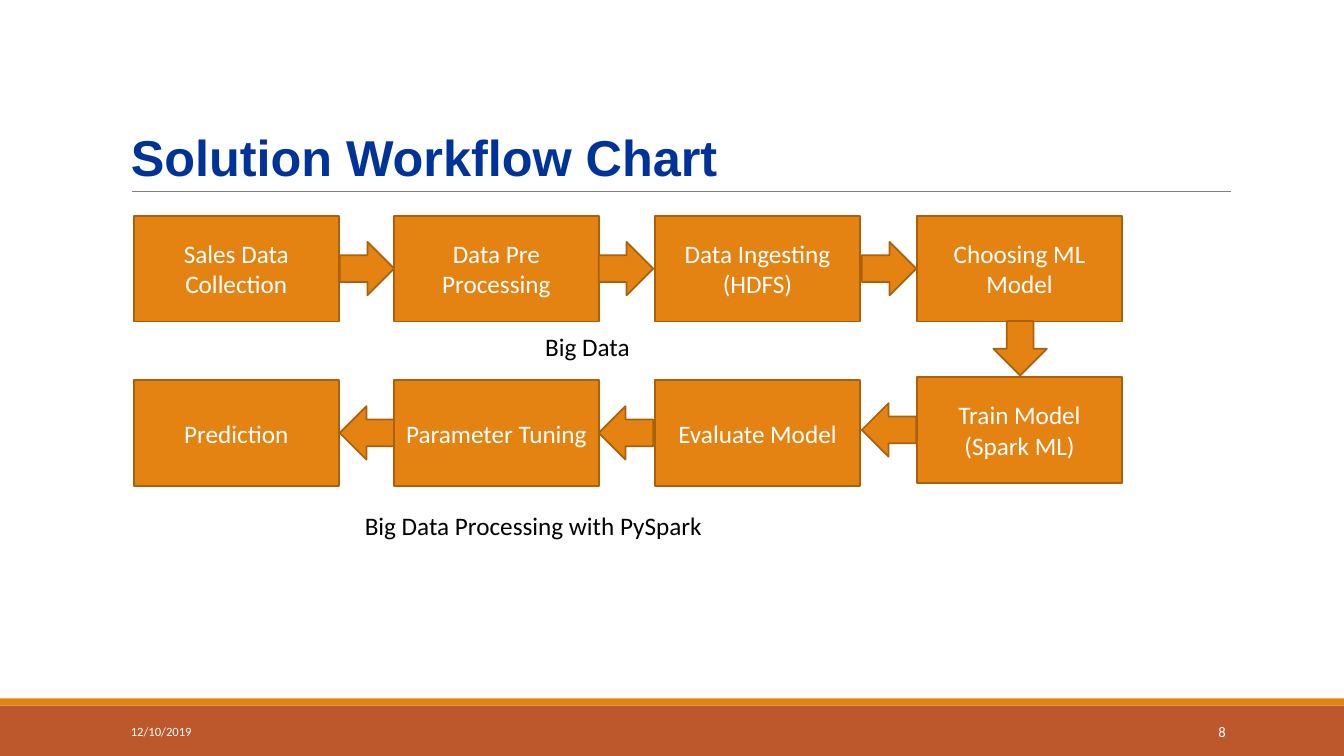
from dataclasses import dataclass

from lxml import etree
from pptx import Presentation
from pptx import util as u
from pptx.dml.color import RGBColor
from pptx.enum import shapes, text
from pptx.oxml import ns


@dataclass(frozen=True)
class Theme:
    body_font: str = "Calibri"
    title_font: str = "Arial"
    white: str = "FFFFFF"
    black: str = "000000"
    title: str = "003399"
    rule: str = "808080"
    accent: str = "E48312"
    outline: str = "A9610D"
    footer: str = "BD582C"
    title_size: float = 36
    body_size: float = 18
    number_size: float = 10.5
    date_size: float = 9


@dataclass(frozen=True)
class Area:
    """A rectangle in grid columns and rows."""
    left: float
    top: float
    width: float
    height: float


@dataclass(frozen=True)
class Step:
    label: str
    column: int
    top: float


@dataclass(frozen=True)
class Arrow:
    left: float
    top: float
    rotation: int


THEME = Theme()
CELL = u.Inches(0.1)  # one grid column or row
GRID_COLUMNS, GRID_ROWS = 133.33, 75

# Workflow grid
STEP_LEFTS = (13.3, 39.1, 65, 91)
GAP_LEFTS = (33.7, 59.4, 85.5)
STEP_WIDTH, STEP_HEIGHT = 20.3, 10.5
ARROW_WIDTH, ARROW_HEIGHT = 5.4, 5.3
ARROW_DROP = 2.6
UPPER, LOWER, TRAIN = 21.4, 37.7, 37.4

STEPS = (
    Step("Sales Data Collection", 0, UPPER),
    Step("Data Pre Processing", 1, UPPER),
    Step("Data Ingesting\n(HDFS)", 2, UPPER),
    Step("Choosing ML Model", 3, UPPER),
    Step("Train Model\n(Spark ML)", 3, TRAIN),
    Step("Evaluate Model", 2, LOWER),
    Step("Parameter Tuning", 1, LOWER),
    Step("Prediction", 0, LOWER),
)
ARROWS = (
    *(Arrow(left, UPPER + ARROW_DROP, 0) for left in GAP_LEFTS),
    Arrow(STEP_LEFTS[3] + 7.5, UPPER + STEP_HEIGHT, 90),
    *(Arrow(left, top + ARROW_DROP, 180)
      for left, top in zip(GAP_LEFTS, (LOWER, LOWER, TRAIN))),
)


def cells(count: float) -> int:
    return round(count * CELL)


def place(area: Area) -> tuple[int, int, int, int]:
    return cells(area.left), cells(area.top), cells(area.width), cells(area.height)


def write(box, content: str, *, size: float = THEME.body_size,
          color: str = THEME.black, font: str = THEME.body_font,
          bold: bool = False, align=text.PP_ALIGN.LEFT,
          anchor=text.MSO_ANCHOR.MIDDLE, spacing: float = 1.0) -> None:
    frame = box.text_frame
    frame.word_wrap = True
    frame.vertical_anchor = anchor
    for index, line in enumerate(content.split("\n")):
        para = frame.add_paragraph() if index else frame.paragraphs[0]
        para.alignment = align
        para.line_spacing = spacing
        span = para.add_run()
        span.text = line
        span.font.name = font
        span.font.size = u.Pt(size)
        span.font.bold = bold
        span.font.color.rgb = RGBColor.from_string(color)


def add_text(page, area: Area, content: str, **style) -> None:
    write(page.shapes.add_textbox(*place(area)), content, **style)


def add_block(page, kind, area: Area, fill: str, outline: str = ""):
    block = page.shapes.add_shape(kind, *place(area))
    block.shadow.inherit = False
    block.fill.solid()
    block.fill.fore_color.rgb = RGBColor.from_string(fill)
    if outline:
        block.line.color.rgb = RGBColor.from_string(outline)
        block.line.width = u.Pt(1.25)
    else:
        block.line.fill.background()
    return block


def add_rule(page, left: float, right: float, top: float) -> None:
    rule = page.shapes.add_connector(
        shapes.MSO_CONNECTOR.STRAIGHT,
        cells(left), cells(top), cells(right), cells(top))
    rule.line.color.rgb = RGBColor.from_string(THEME.rule)
    rule.line.width = u.Pt(0.5)
    etree.SubElement(rule._element.spPr, ns.qn("a:effectLst"))


def add_step(page, step: Step) -> None:
    area = Area(STEP_LEFTS[step.column], step.top, STEP_WIDTH, STEP_HEIGHT)
    block = add_block(page, shapes.MSO_SHAPE.FLOWCHART_PROCESS, area,
                      THEME.accent, THEME.outline)
    write(block, step.label, color=THEME.white, align=text.PP_ALIGN.CENTER)


def add_arrow(page, arrow: Arrow) -> None:
    area = Area(arrow.left, arrow.top, ARROW_WIDTH, ARROW_HEIGHT)
    block = add_block(page, shapes.MSO_SHAPE.RIGHT_ARROW, area,
                      THEME.accent, THEME.outline)
    block.rotation = arrow.rotation


def main() -> None:
    deck = Presentation()
    deck.slide_width, deck.slide_height = cells(GRID_COLUMNS), cells(GRID_ROWS)
    page = deck.slides.add_slide(deck.slide_layouts[6])

    # Footer bands and title
    band = shapes.MSO_SHAPE.RECTANGLE
    add_block(page, band, Area(0, 70, GRID_COLUMNS, 5), THEME.footer)
    add_block(page, band, Area(0, 69.3, GRID_COLUMNS, 0.7), THEME.accent)
    add_rule(page, 13.1, 122.1, 19)
    add_text(page, Area(12, 3.1, 110, 15.9), "Solution Workflow Chart",
             size=THEME.title_size, color=THEME.title, font=THEME.title_font,
             bold=True, anchor=text.MSO_ANCHOR.BOTTOM, spacing=0.85)

    # Date and page number
    add_text(page, Area(12, 70.6, 27, 4), "12/10/2019",
             size=THEME.date_size, color=THEME.white)
    add_text(page, Area(108.3, 70.6, 14.3, 4), "8", size=THEME.number_size,
             color=THEME.white, align=text.PP_ALIGN.RIGHT)

    # Workflow
    for step in STEPS:
        add_step(page, step)
    for arrow in ARROWS:
        add_arrow(page, arrow)

    # Captions
    top = text.MSO_ANCHOR.TOP
    add_text(page, Area(53.1, 32.4, 10.6, 4), "Big Data", anchor=top)
    add_text(page, Area(35.2, 50.1, 39.9, 4),
             "Big Data Processing with PySpark", anchor=top)

    deck.save("out.pptx")


if __name__ == "__main__":
    main()
